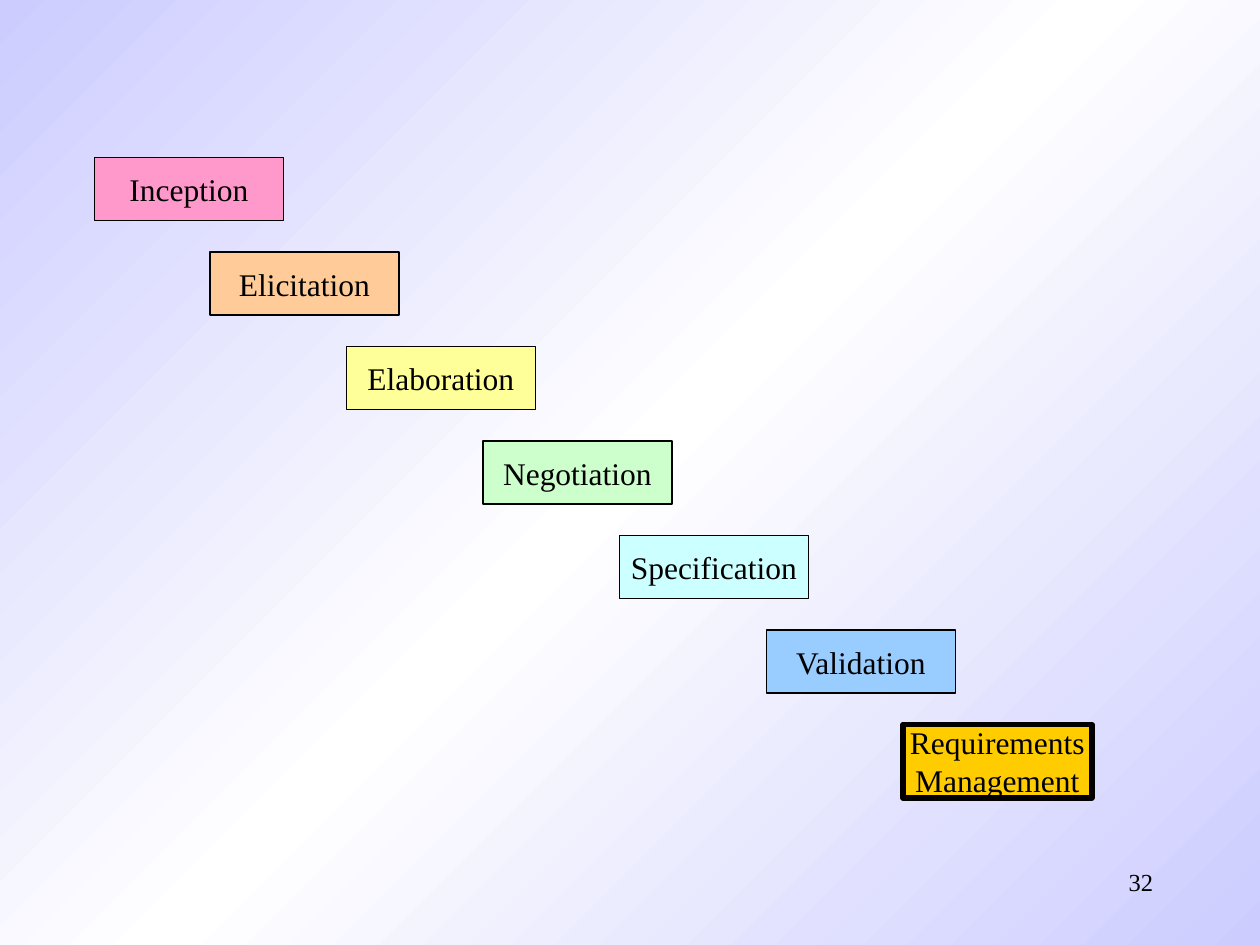
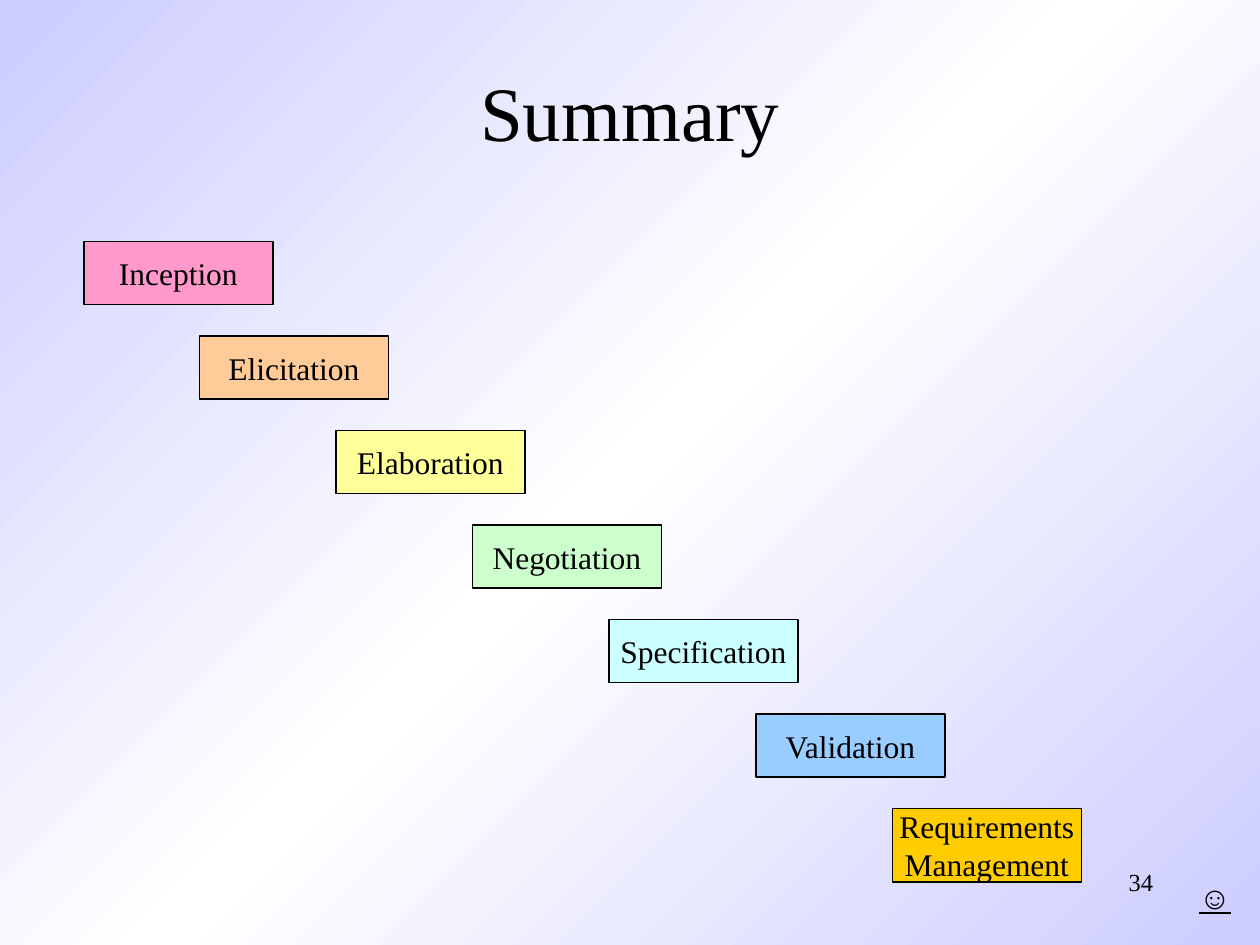
from copy import deepcopy
from dataclasses import dataclass

from pptx import Presentation
from pptx.dml.color import RGBColor
from pptx.enum.shapes import MSO_SHAPE
from pptx.enum.text import MSO_ANCHOR, PP_ALIGN
from pptx.oxml.ns import qn
from pptx.util import Pt

# Content: each step is label, fill, offset from the first box
STEPS = [
    ("Inception", "FF99CC", 0),
    ("Elicitation", "FFCC99", 110),
    ("Elaboration", "FFFF99", 240),
    ("Negotiation", "CCFFCC", 370),
    ("Specification", "CCFFFF", 500),
    ("Validation", "99CCFF", 640),
    ("Requirements\nManagement", "FFCC00", 770),
]
PAGES = [
    {"number": "32", "origin": (90, 150), "current": "Requirements\nManagement"},
    {"number": "34", "origin": (80, 230), "title": "Summary", "mark": "☺"},
]

# Geometry in px, 120 to the inch
EMU_PER_PX = 7620
PAGE_SIZE = (1200, 900)
TITLE_AREA = (90, 30, 1020, 150)
NUMBER_AREA = (860, 820, 250, 60)
MARK_AREA = (1130, 830, 49, 48)
STEP_WIDTH, STEP_DROP = 180, 90
STEP_HEIGHTS = {1: 60, 2: 70}  # by number of text lines


@dataclass(frozen=True)
class Theme:
    font: str = "Times New Roman"
    mark_font: str = "Arial"
    ink: str = "000000"
    gradient: tuple = ((0, "CCCCFF"), (0.5, "FFFFFF"), (1, "CCCCFF"))
    title_size: int = 44
    body_size: int = 18
    number_size: int = 14
    line: float = 0.75
    current_line: float = 3


THEME = Theme()


def px(*lengths):
    return [length * EMU_PER_PX for length in lengths]


def color(value):
    return RGBColor.from_string(value)


def write(box, text, size, align=PP_ALIGN.CENTER, anchor=MSO_ANCHOR.MIDDLE,
          font=THEME.font, wrap=True, underline=None):
    frame = box.text_frame
    frame.text = text
    frame.word_wrap = wrap
    frame.vertical_anchor = anchor
    for para in frame.paragraphs:
        para.alignment = align
        for span in para.runs:
            span.font.name = font
            span.font.size = Pt(size)
            span.font.color.rgb = color(THEME.ink)
            span.font.underline = underline


def add_text(page, area, text, size, **style):
    write(page.shapes.add_textbox(*px(*area)), text, size, **style)


def paint_background(master):
    fill = master.background.fill
    fill.gradient()
    fill.gradient_angle = 315
    stops = master.element.find(".//" + qn("a:gsLst"))
    stops.append(deepcopy(stops[-1]))
    for stop, (position, value) in zip(fill.gradient_stops, THEME.gradient):
        stop.position = position
        stop.color.rgb = color(value)


def add_staircase(page, origin, current):
    left, top = origin
    for row, (label, fill, offset) in enumerate(STEPS):
        height = STEP_HEIGHTS[len(label.splitlines())]
        area = (left + offset, top + row * STEP_DROP, STEP_WIDTH, height)
        box = page.shapes.add_shape(MSO_SHAPE.RECTANGLE, *px(*area))
        box.shadow.inherit = False
        box.fill.solid()
        box.fill.fore_color.rgb = color(fill)
        box.line.color.rgb = color(THEME.ink)
        box.line.width = Pt(THEME.current_line if label == current else THEME.line)
        write(box, label, THEME.body_size, wrap=False)


def add_page(deck, content):
    page = deck.slides.add_slide(deck.slide_layouts[6])
    # Page number
    add_text(page, NUMBER_AREA, content["number"], THEME.number_size,
             align=PP_ALIGN.RIGHT, anchor=MSO_ANCHOR.TOP)
    # Title
    if "title" in content:
        add_text(page, TITLE_AREA, content["title"], THEME.title_size)
    # Process steps
    add_staircase(page, content["origin"], content.get("current"))
    # Closing mark
    if "mark" in content:
        add_text(page, MARK_AREA, content["mark"], THEME.body_size,
                 anchor=MSO_ANCHOR.TOP, font=THEME.mark_font, wrap=False,
                 underline=True)


def main():
    deck = Presentation()
    deck.slide_width, deck.slide_height = px(*PAGE_SIZE)
    paint_background(deck.slide_master)
    for content in PAGES:
        add_page(deck, content)
    deck.save("out.pptx")


if __name__ == "__main__":
    main()
